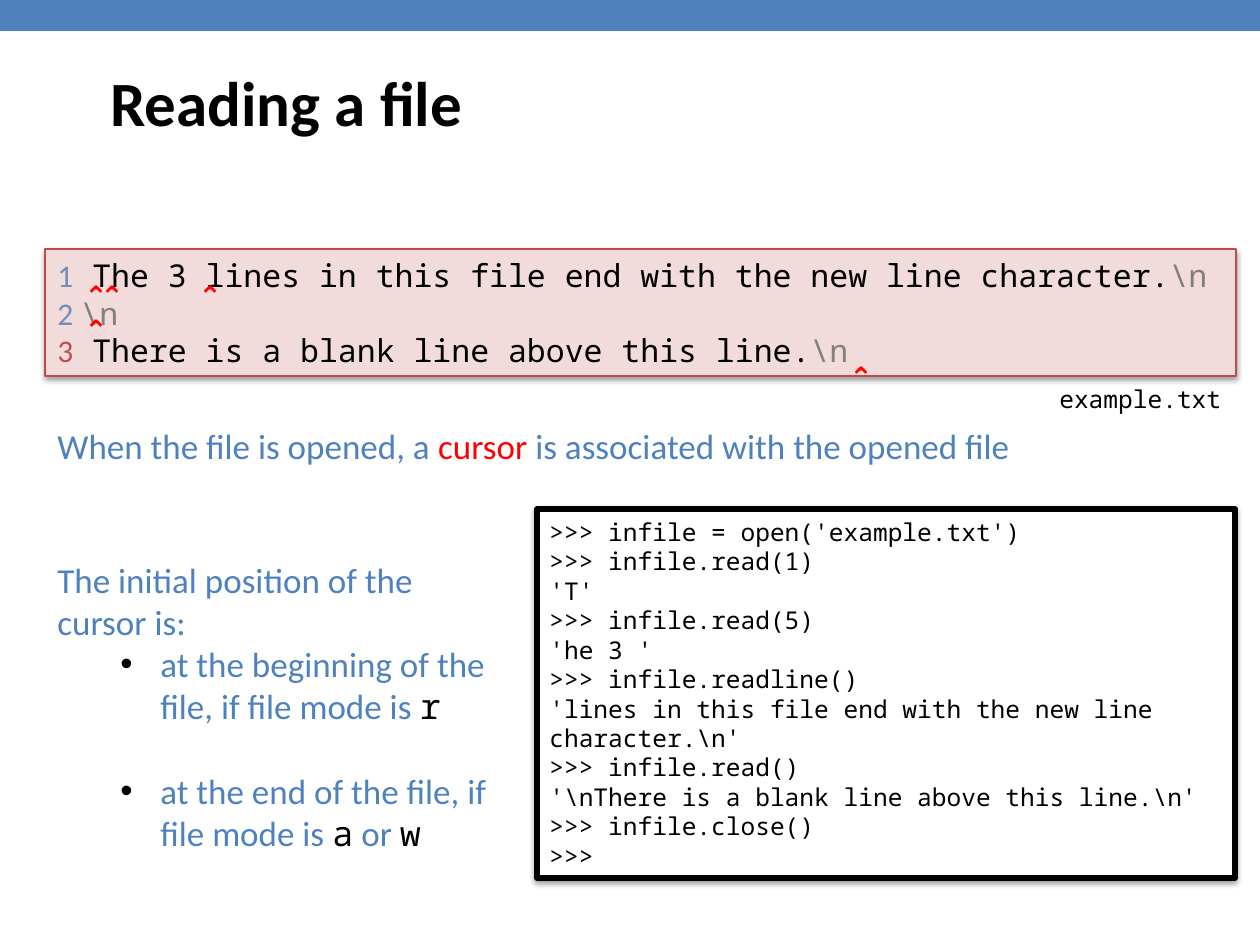
import pptx
import pptx.dml.color
import pptx.enum.shapes
import pptx.enum.text
import pptx.oxml
import pptx.oxml.ns
import pptx.util

EMU_PER_PX = 914400 / 126
SANS, MONO, CARET = "Calibri", "Noto Sans Mono", "Open Sans"
COLORS = {
    "blue": "4F81BD", "number": "748CBC", "brick": "C0504D", "edge": "BF4C48",
    "pink": "F2DCDB", "red": "FF0000", "gray": "808080", "black": "000000",
    "white": "FFFFFF",
}
SHADOW = (
    f'<a:effectLst {pptx.oxml.ns.nsdecls("a")}>'
    '<a:outerShdw blurRad="39370" dist="20320" dir="5400000" rotWithShape="0">'
    '<a:srgbClr val="000000"><a:alpha val="38000"/></a:srgbClr>'
    '</a:outerShdw></a:effectLst>'
)


def px(length):
    return pptx.util.Emu(round(length * EMU_PER_PX))


def rgb(name):
    return pptx.dml.color.RGBColor.from_string(COLORS[name])


def add_run(paragraph, text, size=20, font=SANS, color="black", bold=False):
    run = paragraph.add_run()
    run.text = text
    run.font.size = pptx.util.Pt(size)
    run.font.name = font
    run.font.bold = bold
    run.font.color.rgb = rgb(color)


class SlideBuilder:
    def __init__(self, slide):
        self.slide = slide

    def box(self, left, top, width, height, fill, line=None, line_width=1):
        shape = self.slide.shapes.add_shape(
            pptx.enum.shapes.MSO_SHAPE.RECTANGLE,
            px(left), px(top), px(width), px(height))
        shape.fill.solid()
        shape.fill.fore_color.rgb = rgb(fill)
        shape.shadow.inherit = False
        if line is None:
            shape.line.fill.background()
            return shape
        shape.line.color.rgb = rgb(line)
        shape.line.width = pptx.util.Pt(line_width)
        properties = shape.element.spPr
        effects = properties.find(pptx.oxml.ns.qn("a:effectLst"))
        properties.replace(effects, pptx.oxml.parse_xml(SHADOW))
        return shape

    def fill_text(self, shape, paragraphs, wrap=True, grow=True, **style):
        """Fill a shape; a paragraph is a list of (text, format overrides)."""
        frame = shape.text_frame
        frame.word_wrap = wrap
        frame.vertical_anchor = pptx.enum.text.MSO_ANCHOR.MIDDLE
        sizing = pptx.enum.text.MSO_AUTO_SIZE
        frame.auto_size = sizing.SHAPE_TO_FIT_TEXT if grow else sizing.NONE
        for index, runs in enumerate(paragraphs):
            paragraph = frame.add_paragraph() if index else frame.paragraphs[0]
            paragraph.alignment = pptx.enum.text.PP_ALIGN.LEFT
            for text, overrides in runs:
                add_run(paragraph, text, **{**style, **overrides})
        return frame

    def text(self, left, top, width, height, paragraphs, **style):
        shape = self.slide.shapes.add_textbox(
            px(left), px(top), px(width), px(height))
        return self.fill_text(shape, paragraphs, **style)

    def bullet(self, paragraph):
        paragraph.level = 1
        properties = paragraph._p.get_or_add_pPr()
        properties.set("marL", str(px(103)))
        properties.set("indent", str(px(-40)))
        namespace = pptx.oxml.ns.nsdecls("a")
        for xml in (
            f'<a:buClr {namespace}><a:srgbClr val="{COLORS["black"]}"/></a:buClr>',
            f'<a:buFont {namespace} typeface="Arial"/>',
            f'<a:buChar {namespace} char="•"/>',
        ):
            properties.append(pptx.oxml.parse_xml(xml))


def main():
    presentation = pptx.Presentation()
    presentation.slide_width, presentation.slide_height = px(1260), px(945)
    builder = SlideBuilder(
        presentation.slides.add_slide(presentation.slide_layouts[6]))

    # Top band and title
    builder.box(0, 0, 1261, 31, "blue")
    builder.text(98, 0, 1071, 203, [[("Reading a file", {})]],
                 size=36, bold=True, grow=False)

    # File contents with line numbers
    number = {"font": SANS, "color": "number"}
    newline = ("\\n", {"color": "gray"})
    contents = builder.box(45, 249, 1191, 127, "pink", "edge", 0.75)
    builder.fill_text(contents, [
        [("1", number),
         (" The 3 lines in this file end with the new line character.", {}),
         newline],
        [("2 ", number), newline],
        [("3", {"font": SANS, "color": "brick"}),
         (" There is a blank line above this line.", {}), newline],
    ], size=18, font=MONO)

    # Cursor positions
    for left, top in ((72, 272), (88, 272), (186, 272), (72, 306), (837, 353)):
        builder.text(left, top, 52, 47, [[("⌃", {})]], wrap=False,
                     size=16, font=CARET, color="red", bold=True)

    # Interactive session
    session = (
        ">>> infile = open('example.txt')",
        ">>> infile.read(1)",
        "'T'",
        ">>> infile.read(5)",
        "'he 3 '",
        ">>> infile.readline()",
        "'lines in this file end with the new line character.\\n'",
        ">>> infile.read()",
        "'\\nThere is a blank line above this line.\\n'",
        ">>> infile.close()",
        ">>>",
    )
    shell = builder.box(537, 509, 698, 369, "white", "black", 3)
    builder.fill_text(shell, [[(line, {})] for line in session],
                      size=14, font=MONO)

    # File name and explanations
    builder.text(1047, 377, 189, 43, [[("example.txt", {})]], wrap=False,
                 size=14, font=MONO)
    builder.text(45, 418, 1191, 55, [[
        ("When the file is opened, a ", {}),
        ("cursor ", {"color": "red"}),
        ("is associated with the opened file", {}),
    ]], color="blue")

    mode = {"font": MONO, "color": "black"}
    positions = builder.text(45, 551, 457, 310, [
        [("The initial position of the cursor is:", {})],
        [("at the beginning of the file, if file mode is ", {}), ("r", mode)],
        [("at the end of the file, if file mode is ", {}), ("a", mode),
         (" or ", {}), ("w", mode)],
    ], color="blue")
    for paragraph in positions.paragraphs[1:]:
        builder.bullet(paragraph)
    positions.paragraphs[-1].space_before = pptx.util.Pt(24)

    presentation.save("out.pptx")


if __name__ == "__main__":
    main()
